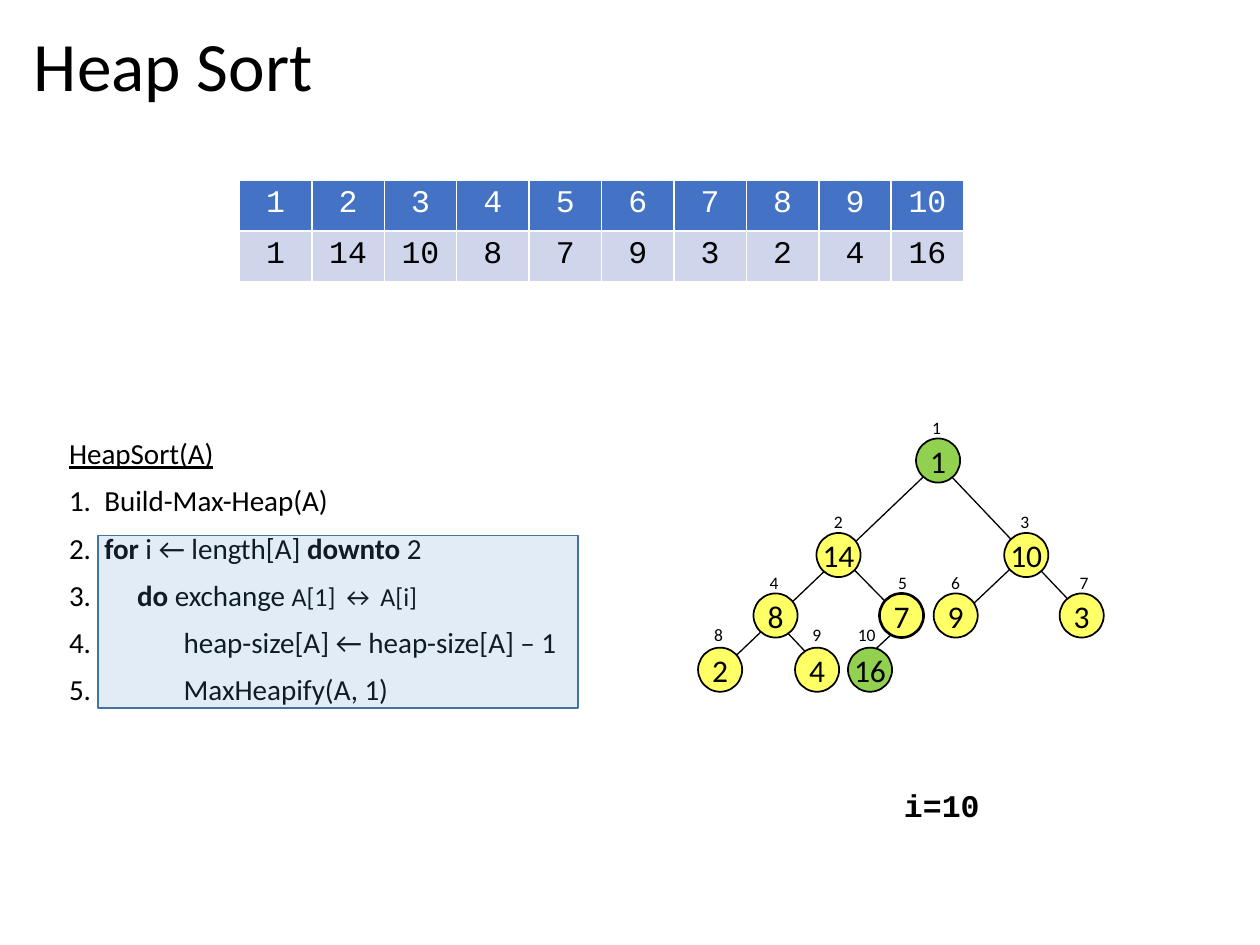
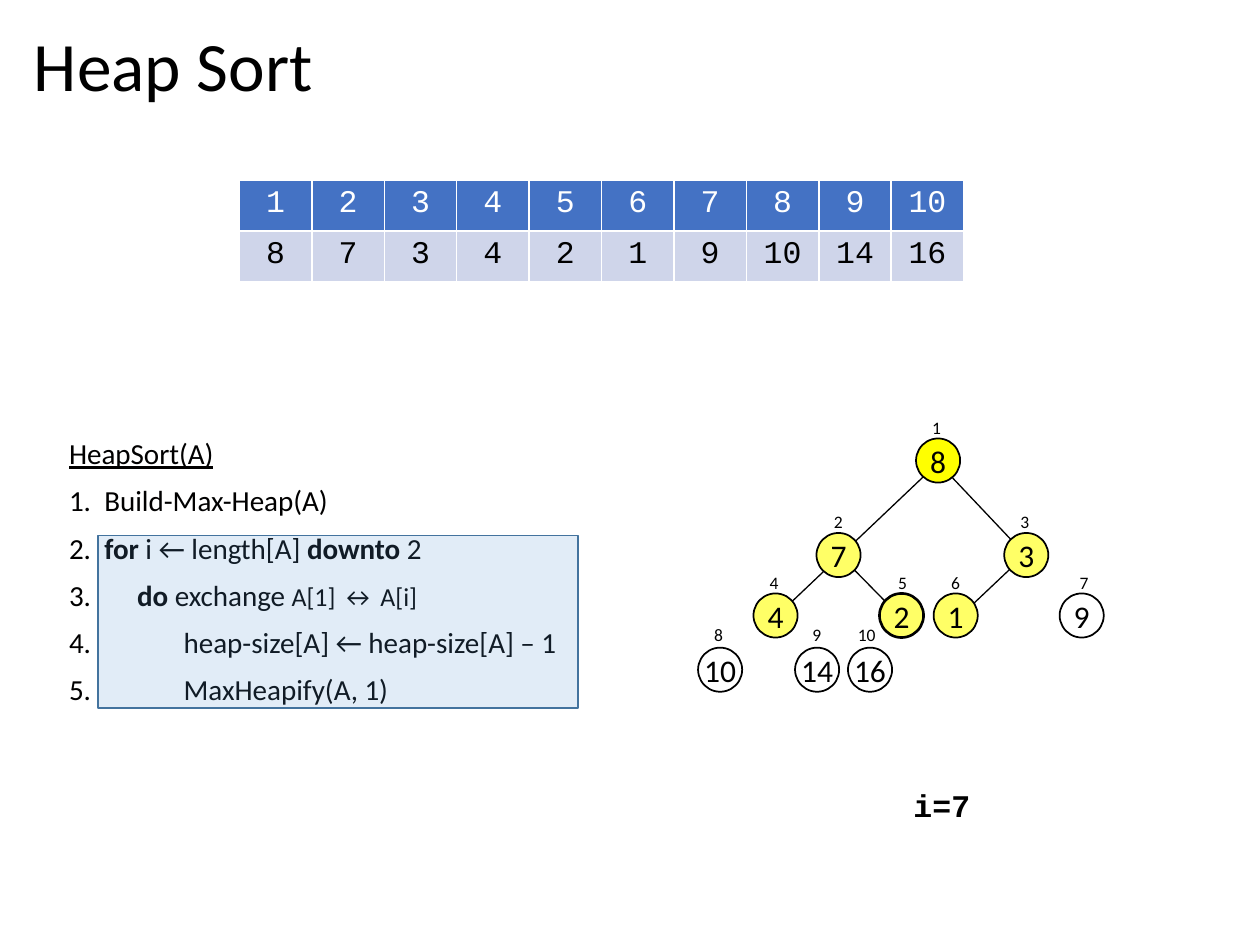
from lxml.etree import SubElement
from pptx import Presentation
from pptx.dml.color import RGBColor
from pptx.enum.shapes import MSO_CONNECTOR, MSO_SHAPE
from pptx.enum.text import MSO_ANCHOR, PP_ALIGN
from pptx.oxml.ns import qn
from pptx.util import Inches, Pt

# Shared look; every length is counted in grid columns and rows of 0.1 inch
GRID = Inches(0.1)
COLUMNS, ROWS = 100, 75
TEXT_FONT, CODE_FONT = "Calibri", "Courier New"
COLORS = {
    "black": "000000", "ink": "010000", "white": "FFFFFF",
    "header": "4472C4", "values": "CFD5EA",
    "heap": "FFFF66", "swapped": "92D050", "root": "FFFF00",
    "highlight": "5B9BD5", "highlight_edge": "43739E",
}
NODE_SIZE = 3.5
CELL_WIDTH, CELL_HEIGHT = 5.75, 4.05

# Heap positions 1 to 10: node left, node top, index left, index top
NODES = [
    (72.7, 34.8, 73, 32.6),
    (64.8, 42.3, 65.2, 40.1), (79.7, 42.3, 80, 40.1),
    (59.8, 47.1, 60.1, 44.9), (69.8, 47.1, 70.3, 44.9),
    (74.1, 47.1, 74.5, 44.9), (84.1, 47.1, 84.7, 44.9),
    (55.4, 51.4, 55.7, 49), (63.1, 51.4, 63.5, 49), (67.3, 51.4, 67.1, 49),
]
SHARED_EDGES = [(75.9, 49.2, 81.5, 43.9), (71.7, 49.2, 66.3, 43.7)]

# Pseudocode: number, tab stop, runs of (text, bold, size)
CODE_SIZE = 16.6
CODE_LINES = [
    ("", 0, [("HeapSort(A)", False, CODE_SIZE)]),
    ("1.", 2.8, [("Build-Max-Heap(A)", False, CODE_SIZE)]),
    ("2.", 2.8, [("for ", True, CODE_SIZE), ("i ← length[A] ", False, CODE_SIZE),
                 ("downto", True, CODE_SIZE), (" 2", False, CODE_SIZE)]),
    ("3.", 5.4, [("do", True, CODE_SIZE), (" exchange ", False, CODE_SIZE),
                 ("A[1] ↔ A[i]", False, 14.8)]),
    ("4.", 9.1, [("heap-size[A] ← heap-size[A] – 1", False, CODE_SIZE)]),
    ("5.", 9.1, [("MaxHeapify(A, 1)", False, CODE_SIZE)]),
]

# What changes from step to step
STEPS = [
    {
        "i": 10,
        "values": [1, 14, 10, 8, 7, 9, 3, 2, 4, 16],
        "fills": ["swapped"] + ["heap"] * 8 + ["swapped"],
        "edges": [(67.8, 53.1, 72.3, 48.9), (65.7, 53.6, 60.4, 48),
                  (86.7, 49.6, 73.4, 35.6), (57.3, 53.1, 74.8, 36.4)],
    },
    {
        "i": 7,
        "values": [8, 7, 3, 4, 2, 1, 9, 10, 14, 16],
        "fills": ["root"] + ["heap"] * 5 + [None] * 4,
        "edges": [(82.2, 44.9, 73.4, 35.6), (60.9, 49.6, 74.8, 36.4)],
    },
]


def write(paragraph, text, size, color="black", font=TEXT_FONT, bold=False, align=None):
    paragraph.text = str(text)
    paragraph.alignment = align
    paragraph.font.name = font
    paragraph.font.size = Pt(size)
    paragraph.font.bold = bold
    paragraph.font.color.rgb = RGBColor.from_string(COLORS[color])


def add_box(slide, left, top, width, height, wrap=True):
    box = slide.shapes.add_textbox(*[int(length * GRID) for length in (left, top, width, height)])
    box.text_frame.word_wrap = wrap
    return box.text_frame


presentation = Presentation()
presentation.slide_width = COLUMNS * GRID
presentation.slide_height = ROWS * GRID

for step in STEPS:
    slide = presentation.slides.add_slide(presentation.slide_layouts[6])

    # Title
    title = add_box(slide, 1.7, 1.8, 96.2, 7.4)
    title.vertical_anchor = MSO_ANCHOR.MIDDLE
    write(title.paragraphs[0], "Heap Sort", 39.6)
    title.paragraphs[0].line_spacing = 0.9

    # Array table
    table_rows = [("header", "white", range(1, 11)), ("values", "black", step["values"])]
    table = slide.shapes.add_table(
        2, 10, 19 * GRID, int(14.3 * GRID),
        int(10 * CELL_WIDTH * GRID), int(2 * CELL_HEIGHT * GRID)).table
    for row, (fill, color, numbers) in enumerate(table_rows):
        for column, number in enumerate(numbers):
            cell = table.cell(row, column)
            cell_properties = cell._tc.get_or_add_tcPr()
            for side in ("a:lnL", "a:lnR", "a:lnT", "a:lnB"):
                border = SubElement(cell_properties, qn(side), w=str(Pt(1)))
                border_fill = SubElement(border, qn("a:solidFill"))
                SubElement(border_fill, qn("a:srgbClr"), val=COLORS["white"])
            cell.fill.solid()
            cell.fill.fore_color.rgb = RGBColor.from_string(COLORS[fill])
            write(cell.text_frame.paragraphs[0], number, 18, color, CODE_FONT,
                  align=PP_ALIGN.CENTER)

    # Pseudocode
    code = add_box(slide, 4.5, 34.4, 58.3, 24.2)
    for index, (number, tab_stop, runs) in enumerate(CODE_LINES):
        paragraph = code.add_paragraph() if index else code.paragraphs[0]
        write(paragraph, "", CODE_SIZE, "ink", bold=None)
        paragraph.line_spacing = 0.9
        paragraph.space_before = Pt(9)
        if number:
            tab_list = paragraph._p.get_or_add_pPr().makeelement(qn("a:tabLst"))
            SubElement(tab_list, qn("a:tab"), pos=str(int(tab_stop * GRID)), algn="l")
            paragraph._p.pPr.find(qn("a:defRPr")).addprevious(tab_list)
            paragraph.add_run().text = number + "\t"
        else:
            paragraph.font.underline = True
        for text, bold, size in runs:
            run = paragraph.add_run()
            run.text = text
            run.font.bold = bold
            run.font.size = Pt(size)

    # Translucent highlight over the loop
    highlight = slide.shapes.add_shape(
        MSO_SHAPE.RECTANGLE, *[int(length * GRID) for length in (7.8, 42.5, 38.1, 13.7)])
    highlight.shadow.inherit = False
    highlight.fill.solid()
    highlight.fill.fore_color.rgb = RGBColor.from_string(COLORS["highlight"])
    highlight_color = highlight._element.spPr.find(".//" + qn("a:srgbClr"))
    SubElement(highlight_color, qn("a:alpha"), val="18000")
    highlight.line.color.rgb = RGBColor.from_string(COLORS["highlight_edge"])
    highlight.line.width = Pt(1)

    # Tree edges
    for edge in SHARED_EDGES + step["edges"]:
        connector = slide.shapes.add_connector(
            MSO_CONNECTOR.STRAIGHT, *[int(length * GRID) for length in edge])
        connector.line.color.rgb = RGBColor.from_string(COLORS["black"])
        connector.line.width = Pt(0.75)
        SubElement(connector._element.spPr, qn("a:effectLst"))

    # Tree nodes with their array indexes
    tree = zip(NODES, step["values"], step["fills"])
    for index, ((left, top, index_left, index_top), value, fill) in enumerate(tree, 1):
        node = slide.shapes.add_shape(
            MSO_SHAPE.OVAL,
            *[int(length * GRID) for length in (left, top, NODE_SIZE, NODE_SIZE)])
        node.shadow.inherit = False
        if fill:
            node.fill.solid()
            node.fill.fore_color.rgb = RGBColor.from_string(COLORS[fill])
        else:
            node.fill.background()
        node.line.color.rgb = RGBColor.from_string(COLORS["black"])
        node.line.width = Pt(1.5 if index == 5 else 1)
        node.text_frame.word_wrap = False
        node.text_frame.vertical_anchor = MSO_ANCHOR.MIDDLE
        write(node.text_frame.paragraphs[0], value, 18, align=PP_ALIGN.CENTER)

        index_width = 2.7 if index < 10 else 3.5
        label = add_box(slide, index_left, index_top, index_width, 2.7, wrap=False)
        write(label.paragraphs[0], index, 10)

    # Loop counter
    counter = add_box(slide, 65.1, 61.9, 19.3, 4)
    write(counter.paragraphs[0], f"i={step['i']}", 18, font=CODE_FONT, bold=True,
          align=PP_ALIGN.CENTER)

presentation.save("out.pptx")
